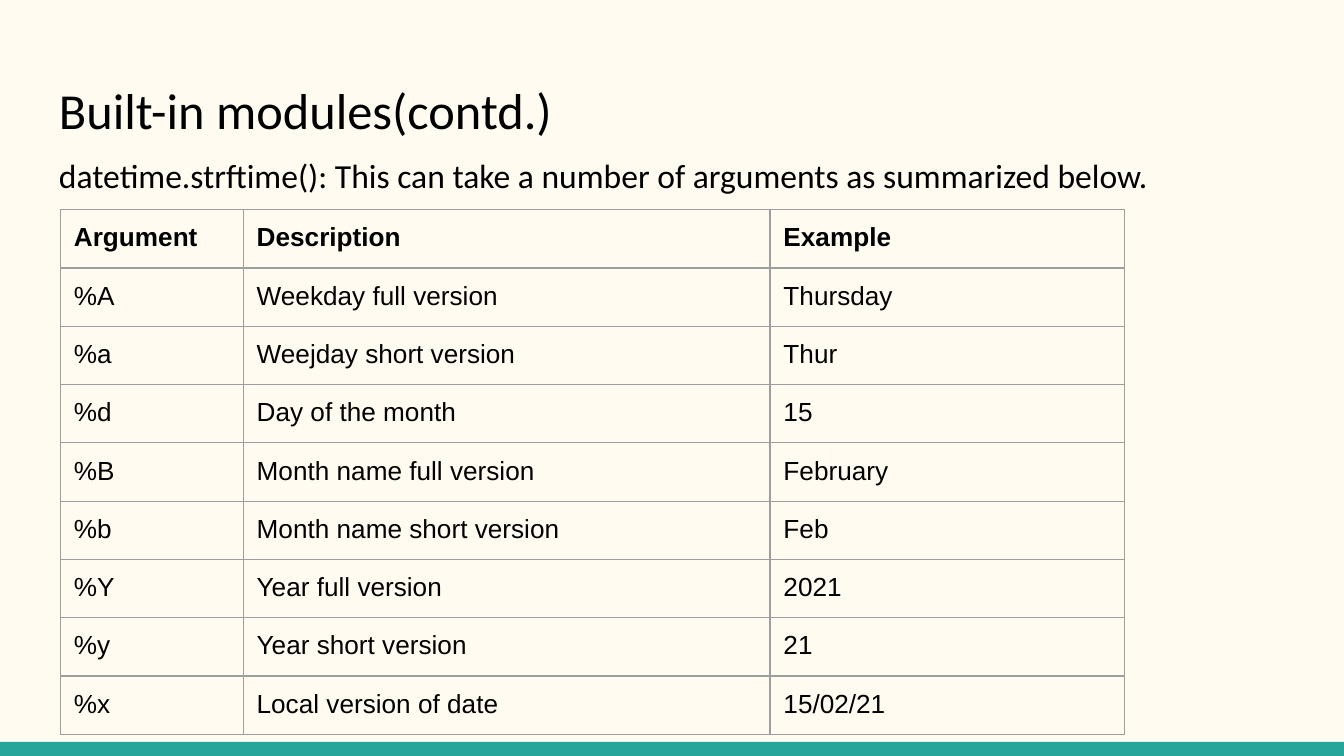
"""Builds a slide that lists the strftime arguments in a table."""
from pptx import Presentation, util as u
from pptx.dml.color import RGBColor
from pptx.enum import shapes, text
from pptx.oxml import parse_xml
from pptx.oxml.ns import nsdecls

CREAM = RGBColor(0xFF, 0xFB, 0xF0)
TEAL = RGBColor(0x26, 0xA6, 0x9A)
BLACK = RGBColor(0, 0, 0)
GREY = RGBColor(0x9E, 0x9E, 0x9E)

WIDE = 10
HIGH = WIDE * 9 / 16
PAD = u.Inches(0.1)
ROW = 5 / 12
COLS = (1.36, 3.92, 2.64)
ROWS = (
    ("Argument", "Description", "Example"),
    ("%A", "Weekday full version", "Thursday"),
    ("%a", "Weejday short version", "Thur"),
    ("%d", "Day of the month", "15"),
    ("%B", "Month name full version", "February"),
    ("%b", "Month name short version", "Feb"),
    ("%Y", "Year full version", "2021"),
    ("%y", "Year short version", "21"),
    ("%x", "Local version of date", "15/02/21"),
)


def assign(item, **values):
    for name, value in values.items():
        setattr(item, name, value)


def pad(item):
    assign(item, margin_left=PAD, margin_right=PAD, margin_top=PAD, margin_bottom=PAD)


def write(frame, words, face, size, bold=False, **gaps):
    para = frame.paragraphs[0]
    assign(para, **gaps)
    run = para.add_run()
    run.text = words
    assign(run.font, name=face, size=u.Pt(size), bold=bold)
    run.font.color.rgb = BLACK
    para._p.append(parse_xml(
        f'<a:endParaRPr {nsdecls("a")} sz="{size * 100}"><a:latin typeface="{face}"/></a:endParaRPr>'))


def add_text(slide, box, words, size, **gaps):
    frame = slide.shapes.add_textbox(*map(u.Inches, box)).text_frame
    assign(frame, word_wrap=True, vertical_anchor=text.MSO_ANCHOR.TOP)
    pad(frame)
    write(frame, words, "Calibri", size, **gaps)


def add_bar(slide, box, color):
    bar = slide.shapes.add_shape(shapes.MSO_SHAPE.RECTANGLE, *map(u.Inches, box))
    bar.shadow.inherit = False
    bar.fill.solid()
    bar.fill.fore_color.rgb = color
    bar.line.fill.background()


def add_edges(cell):
    props = cell._tc.get_or_add_tcPr()
    for place, side in enumerate(("lnL", "lnR", "lnT", "lnB")):
        props.insert(place, parse_xml(
            f'<a:{side} {nsdecls("a")} w="{u.Pt(0.75)}"><a:solidFill>'
            f'<a:srgbClr val="{GREY}"/></a:solidFill></a:{side}>'))


def add_grid(slide, box):
    grid = slide.shapes.add_table(len(ROWS), len(COLS), *map(u.Inches, box)).table
    assign(grid, first_row=False, horz_banding=False)
    for col, width in zip(grid.columns, COLS):
        col.width = u.Inches(width)
    for r, (row, line) in enumerate(zip(grid.rows, ROWS)):
        row.height = u.Inches(ROW)
        for cell, words in zip(row.cells, line):
            pad(cell)
            cell.fill.background()
            add_edges(cell)
            write(cell.text_frame, words, "Arial", 14, bold=r == 0)


def main():
    deck = Presentation()
    assign(deck, slide_width=u.Inches(WIDE), slide_height=u.Inches(HIGH))
    slide = deck.slides.add_slide(deck.slide_layouts[6])
    slide.background.fill.solid()
    slide.background.fill.fore_color.rgb = CREAM
    add_bar(slide, (0, 5.52, WIDE, 0.11), TEAL)
    add_text(slide, (0.34, 0.49, 9.32, 0.67), "Built-in modules(contd.)", 27)
    add_text(slide, (0.34, 1.01, 9.32, 3.72),
             "datetime.strftime(): This can take a number of arguments as summarized below.",
             18, line_spacing=1.15, space_after=u.Pt(12))
    add_grid(slide, (0.45, 1.56, 3.28, 3.28))
    deck.save("out.pptx")


if __name__ == "__main__":
    main()
